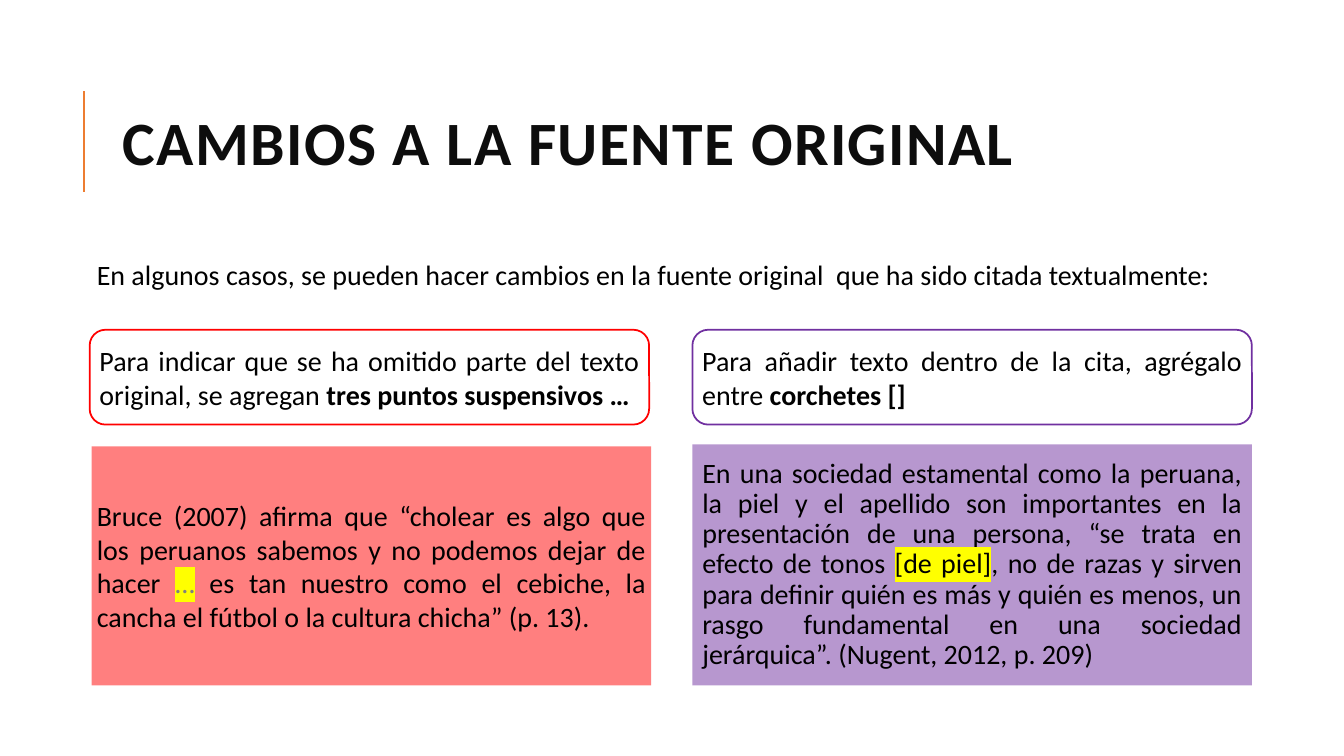
from dataclasses import dataclass

import pptx
import pptx.dml.color
import pptx.enum.shapes
import pptx.enum.text
import pptx.oxml
import pptx.oxml.ns
import pptx.util
from pptx.util import Cm

FONT = "Calibri"
BLACK = "000000"
RED = "FF0000"
PURPLE = "7030A0"
YELLOW = "FFFF00"
RECTANGLE = pptx.enum.shapes.MSO_SHAPE.RECTANGLE
ROUNDED = pptx.enum.shapes.MSO_SHAPE.ROUNDED_RECTANGLE
MIDDLE = pptx.enum.text.MSO_ANCHOR.MIDDLE
TOP = pptx.enum.text.MSO_ANCHOR.TOP
JUSTIFY = pptx.enum.text.PP_ALIGN.JUSTIFY
LEFT = pptx.enum.text.PP_ALIGN.LEFT


@dataclass(frozen=True)
class Span:
    text: str
    color: str = BLACK
    size: float = 20
    bold: bool = False
    highlight: str = ""
    tracking: int = 0


@dataclass(frozen=True)
class Block:
    left: float
    top: float
    width: float
    height: float
    spans: tuple[Span, ...]
    kind: object = None
    fill: str = ""
    alpha: int = 100
    outline: str = ""
    anchor: object = MIDDLE
    align: object = JUSTIFY
    side_inset: float = 0.13
    line_spacing: float = 1.0
    before: float = 12
    after: float = 0


def rgb(value: str) -> pptx.dml.color.RGBColor:
    return pptx.dml.color.RGBColor.from_string(value)


def element(tag: str, **attributes: str):
    node = pptx.oxml.parse_xml(f"<a:{tag} {pptx.oxml.ns.nsdecls('a')}/>")
    for name, value in attributes.items():
        node.set(name, value)
    return node


def add_span(para, item: Span) -> None:
    span = para.add_run()
    span.text = item.text
    span.font.name = FONT
    span.font.size = pptx.util.Pt(item.size)
    span.font.bold = item.bold
    span.font.color.rgb = rgb(item.color)
    properties = span.font._element
    if item.tracking:
        properties.set("spc", str(item.tracking * 100))
    if item.highlight:
        mark = element("highlight")
        mark.append(element("srgbClr", val=item.highlight))
        properties.find(pptx.oxml.ns.qn("a:solidFill")).addnext(mark)


def paint(box, block: Block) -> None:
    box.shadow.inherit = False
    box.fill.solid()
    box.fill.fore_color.rgb = rgb(block.fill)
    if block.alpha < 100:
        color = box._element.spPr.find(".//" + pptx.oxml.ns.qn("a:srgbClr"))
        color.append(element("alpha", val=str(block.alpha * 1000)))
    if block.outline:
        box.line.color.rgb = rgb(block.outline)
        box.line.width = pptx.util.Pt(1.25)
    else:
        box.line.fill.background()


def add_block(page, block: Block) -> None:
    place = [Cm(n) for n in (block.left, block.top, block.width, block.height)]
    if block.kind is None:
        box = page.shapes.add_textbox(*place)
    else:
        box = page.shapes.add_shape(block.kind, *place)
        paint(box, block)
    frame = box.text_frame
    frame.word_wrap = True
    frame.vertical_anchor = block.anchor
    frame.margin_left = frame.margin_right = Cm(block.side_inset)
    frame.margin_top = frame.margin_bottom = Cm(0.13)
    para = frame.paragraphs[0]
    para.alignment = block.align
    para.line_spacing = block.line_spacing
    para.space_before = pptx.util.Pt(block.before)
    para.space_after = pptx.util.Pt(block.after)
    for item in block.spans:
        add_span(para, item)


def add_accent(page, x: float, top: float, bottom: float) -> None:
    accent = page.shapes.add_connector(
        pptx.enum.shapes.MSO_CONNECTOR.STRAIGHT, Cm(x), Cm(bottom), Cm(x), Cm(top))
    accent.line.color.rgb = rgb("ED7D31")
    accent.line.width = pptx.util.Pt(1.5)
    accent._element.spPr.append(element("effectLst"))


def rule(left: float, color: str, lead: str, key: str) -> Block:
    return Block(left, 8.31, 14.1, 2.39, (Span(lead), Span(key, bold=True)),
                 kind=ROUNDED, fill="FFFFFF", outline=color, after=2)


TITLE = Block(2.84, 1.63, 27, 4.17,
              (Span("CAMBIOS A LA FUENTE ORIGINAL", "0D0D0D", 44, True, tracking=1),),
              align=LEFT, side_inset=0.25, line_spacing=0.8, before=0)
INTRO = Block(2.31, 6.35, 29.21, 1.5,
              (Span("En algunos casos, se pueden hacer cambios en la fuente original  "
                    "que ha sido citada textualmente:"),),
              anchor=TOP, before=6)
OMISSION_RULE = rule(2.26, RED,
                     "Para indicar que se ha omitido parte del texto original, se agregan ",
                     "tres puntos suspensivos …")
ADDITION_RULE = rule(17.45, PURPLE,
                     "Para añadir texto dentro de la cita, agrégalo entre ",
                     "corchetes []")
OMISSION_EXAMPLE = Block(
    2.31, 11.25, 14.1, 6.02,
    (Span("Bruce (2007) afirma que “cholear es algo que los peruanos sabemos "
          "y no podemos dejar de hacer "),
     Span("…", "808080", highlight=YELLOW),
     Span(" es tan nuestro como el cebiche, la cancha el fútbol o la cultura "
          "chicha” (p. 13).")),
    kind=RECTANGLE, fill=RED, alpha=50, after=2)
ADDITION_EXAMPLE = Block(
    17.45, 11.2, 14.1, 6.07,
    (Span("En una sociedad estamental como la peruana, la piel y el apellido son "
          "importantes en la presentación de una persona, “se trata en efecto de tonos "),
     Span("[de piel]", highlight=YELLOW),
     Span(", no de razas y sirven para definir quién es más y quién es menos, un rasgo "
          "fundamental en una sociedad jerárquica”. (Nugent, 2012, p. 209)")),
    kind=RECTANGLE, fill=PURPLE, alpha=50, side_inset=0.25, line_spacing=0.9)

deck = pptx.Presentation()
deck.slide_width = Cm(33.87)
deck.slide_height = Cm(19.05)
page = deck.slides.add_slide(deck.slide_layouts[6])

add_accent(page, 2.11, 2.29, 4.83)
for block in (OMISSION_EXAMPLE, TITLE, INTRO, ADDITION_EXAMPLE,
              OMISSION_RULE, ADDITION_RULE):
    add_block(page, block)

deck.save("out.pptx")
